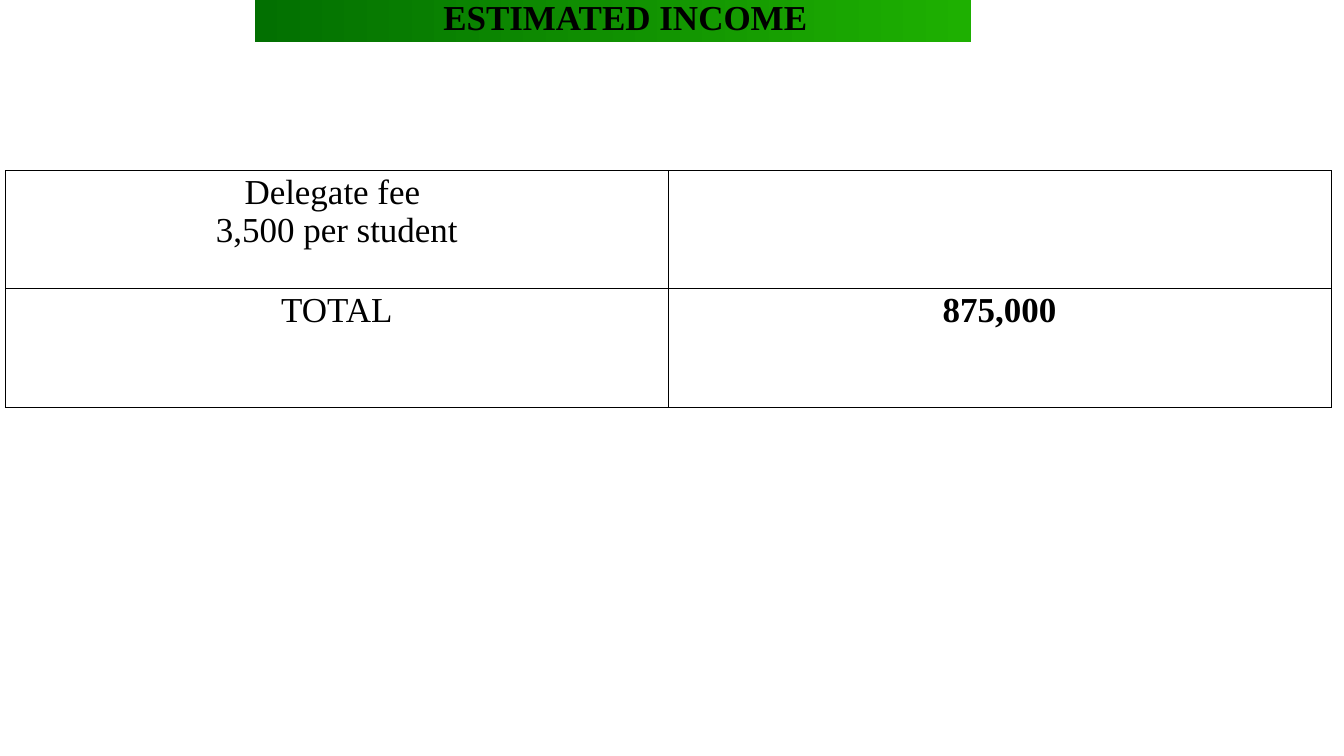
from lxml.etree import SubElement
from pptx import Presentation
from pptx.dml.color import RGBColor
from pptx.enum.text import MSO_ANCHOR as Anchor, MSO_AUTO_SIZE as AutoSize, PP_ALIGN as Align
from pptx.oxml.ns import qn
from pptx.util import Inches, Pt

BLACK = RGBColor(0, 0, 0)
DARK_GREEN = RGBColor(0x02, 0x70, 0x01)
GREEN = RGBColor(0x1E, 0xB0, 0x01)
FONT = "Times New Roman"
ROWS = [
    [["Delegate fee ", "3,500 per student"], []],
    [["TOTAL"], ["875,000"]],
]


def add_run(p, text, bold):
    p.alignment = Align.CENTER
    r = p.add_run()
    r.text = text
    r.font.name = FONT
    r.font.size = Pt(50)
    r.font.bold = bold
    r.font.color.rgb = BLACK


def add_title(s, text):
    sp = s.shapes.title
    sp.left, sp.top = Inches(5.06), Inches(0)
    sp.width, sp.height = Inches(14.2), Inches(0.83)
    sp.fill.gradient()
    sp.fill.gradient_angle = 0
    for stop, color in zip(sp.fill.gradient_stops, (DARK_GREEN, GREEN)):
        stop.color.rgb = color
    tf = sp.text_frame
    tf.auto_size = AutoSize.NONE
    tf.word_wrap = True
    tf.vertical_anchor = Anchor.MIDDLE
    tf.margin_left = tf.margin_top = tf.margin_right = tf.margin_bottom = 0
    p = tf.paragraphs[0]
    p.line_spacing = 0.8
    pPr = p._p.get_or_add_pPr()
    pPr.set("marL", "0")
    pPr.set("indent", str(Inches(0.5)))
    add_run(p, text, True)


def add_borders(cell):
    tcPr = cell._tc.get_or_add_tcPr()
    for side in ("lnL", "lnR", "lnT", "lnB"):
        ln = SubElement(tcPr, qn(f"a:{side}"), w=str(Pt(1)))
        fill = SubElement(ln, qn("a:solidFill"))
        SubElement(fill, qn("a:srgbClr"), val=str(BLACK))


def fill_cell(cell, lines, bold):
    add_borders(cell)
    cell.fill.background()
    tf = cell.text_frame
    for i, line in enumerate(lines):
        p = tf.add_paragraph() if i else tf.paragraphs[0]
        add_run(p, line, bold)


def add_income_table(s, rows):
    table = s.shapes.add_table(
        len(rows), len(rows[0]), Inches(0.11), Inches(3.38), Inches(26.3), Inches(4.7)
    ).table
    table.first_row = table.horz_banding = False
    for i, row in enumerate(rows):
        for j, lines in enumerate(row):
            fill_cell(table.cell(i, j), lines, bold=j == 1)


def main():
    prs = Presentation()
    prs.slide_width, prs.slide_height = Inches(26.67), Inches(15)
    s = prs.slides.add_slide(prs.slide_layouts.get_by_name("Title Only"))
    add_title(s, "ESTIMATED INCOME")
    add_income_table(s, ROWS)
    prs.save("out.pptx")


if __name__ == "__main__":
    main()
